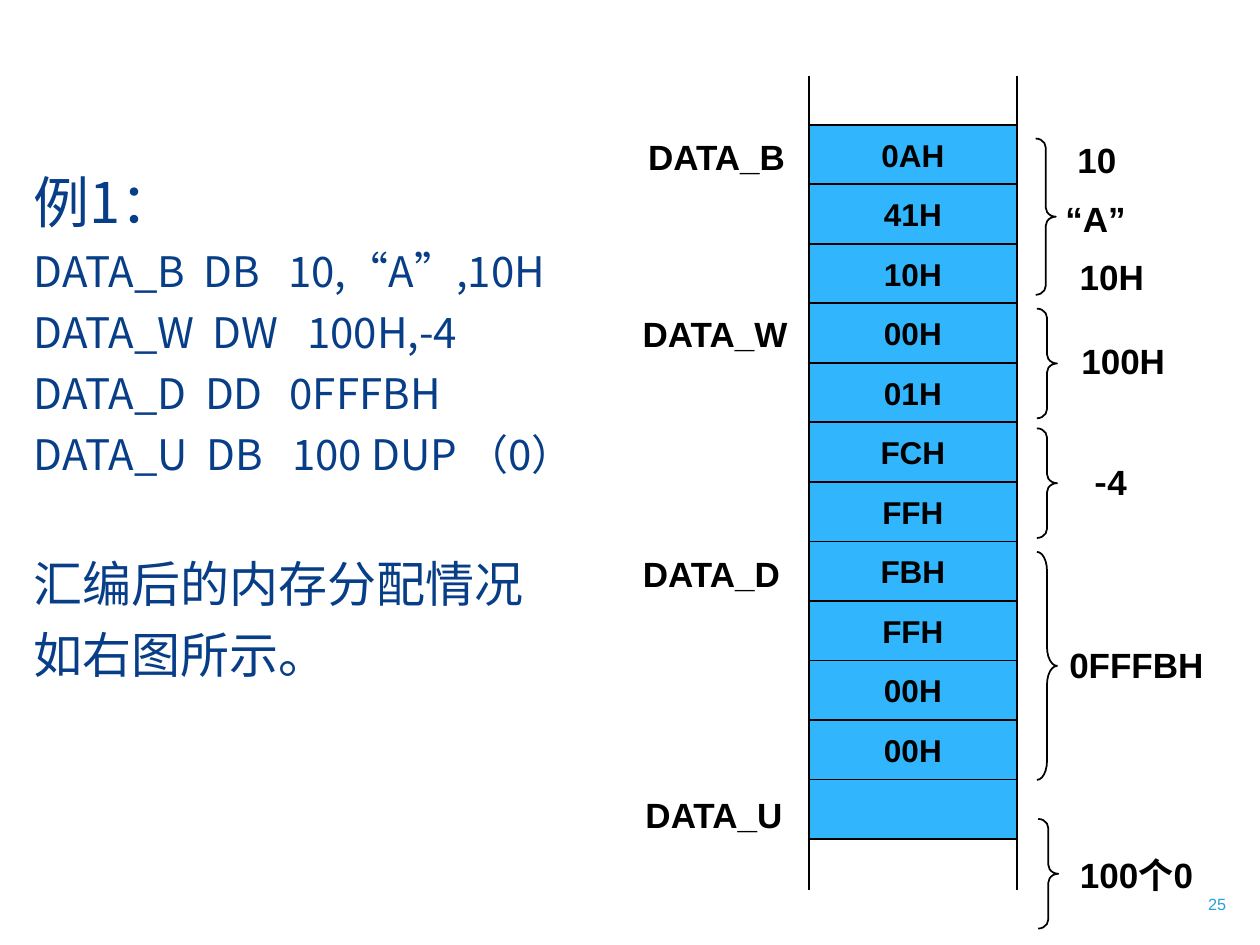
import pptx
import pptx.dml.color
import pptx.enum.shapes
import pptx.enum.text
import pptx.oxml.ns
import pptx.util
from lxml import etree
from pptx.util import Inches

COLORS = {"navy": "073E87", "cell": "31B6FD", "ink": "000000", "number": "2AA0DF"}
LATIN, CJK = "Arial", "Noto Sans CJK SC"
ALIGN = pptx.enum.text.PP_ALIGN
SHAPES = pptx.enum.shapes.MSO_SHAPE

STATEMENTS = [
    ("DATA_B\tDB\t10,“A”,10H", (1.35, 2.02)),
    ("DATA_W\tDW\t100H,-4", (1.42, 2.17)),
    ("DATA_D\tDD\t0FFFBH", (1.36, 2.03)),
    ("DATA_U\tDB\t100 DUP （0）", (1.37, 2.05)),
]
CELLS = ["0AH", "41H", "10H", "00H", "01H", "FCH", "FFH", "FBH", "FFH", "00H", "00H", ""]
VARIABLES = [
    ("DATA_B", 5.05, 1.07, 1.18),
    ("DATA_W", 4.92, 2.47, 1.33),
    ("DATA_D", 5.01, 4.38, 1.18),
    ("DATA_U", 5.03, 6.29, 1.18),
]
VALUES = [
    ([("10", LATIN)], 8.39, 1.09, 0.63),
    ([("“A”", LATIN)], 8.38, 1.56, 0.63),
    ([("10H", LATIN)], 8.51, 2.02, 0.63),
    ([("100H", LATIN)], 8.48, 2.69, 0.87),
    ([("-", CJK), ("4", LATIN)], 8.46, 3.65, 0.71),
    ([("0FFFBH", LATIN)], 8.47, 5.1, 1.1),
    ([("100个0", LATIN)], 8.47, 6.77, 1.1),
]
BRACES = [
    (8.22, 1.1, 1.24, 0.45),
    (8.23, 2.45, 0.87, 0.45),
    (8.23, 3.4, 0.87, 0.45),
    (8.23, 4.38, 1.81, 0.94),
    (8.24, 6.5, 0.87, 0.45),
]


def rgb(name):
    """Return the named colour."""
    return pptx.dml.color.RGBColor.from_string(COLORS[name])


def add_span(para, text, font, size, color, bold=False):
    """Append one styled run to a paragraph."""
    span = para.add_run()
    span.text = text
    span.font.name = font
    span.font.size = pptx.util.Pt(size)
    span.font.bold = bold
    span.font.color.rgb = rgb(color)
    east = etree.SubElement(span.font._element, pptx.oxml.ns.qn("a:ea"))
    east.set("typeface", CJK)


def add_text_box(slide, box, inset_x=0.1, inset_y=0.05):
    """Add a wrapping text box and return its text frame."""
    frame = slide.shapes.add_textbox(*box).text_frame
    frame.word_wrap = True
    frame.margin_left = frame.margin_right = Inches(inset_x)
    frame.margin_top = frame.margin_bottom = Inches(inset_y)
    return frame


def set_tabs(para, stops):
    """Give a paragraph left tab stops in inches."""
    tabs = etree.SubElement(para._p.get_or_add_pPr(), pptx.oxml.ns.qn("a:tabLst"))
    for stop in stops:
        tab = etree.SubElement(tabs, pptx.oxml.ns.qn("a:tab"))
        tab.set("pos", str(int(Inches(stop))))
        tab.set("algn", "l")


def add_example(slide, box):
    """Write the heading, the data statements and the closing remark."""
    frame = add_text_box(slide, box)
    lines = [("例1：", 32, 42, 0, ())]
    lines += [(text, 24, 34.9, 0, stops) for text, stops in STATEMENTS]
    lines += [("汇编后的内存分配情况", 28, 40.6, 35.5, ()), ("如右图所示。", 28, 40.6, 0, ())]
    for index, (text, size, height, gap, stops) in enumerate(lines):
        para = frame.add_paragraph() if index else frame.paragraphs[0]
        para.line_spacing = pptx.util.Pt(height)
        para.space_before = pptx.util.Pt(gap)
        if stops:
            set_tabs(para, stops)
        for position, part in enumerate(text.split("\t")):
            add_span(para, "\t" + part if position else part, CJK, size, "navy")


def add_rail(slide, x, top, bottom):
    """Draw one vertical edge of the memory column."""
    rail = slide.shapes.add_connector(
        pptx.enum.shapes.MSO_CONNECTOR.STRAIGHT, x, top, x, bottom)
    rail.line.color.rgb = rgb("ink")
    rail.line.width = pptx.util.Pt(1)
    etree.SubElement(rail._element.spPr, pptx.oxml.ns.qn("a:effectLst"))


def add_memory(slide, box):
    """Stack equal memory cells in the box between two longer rails."""
    left, top, width, height = box
    step = height / len(CELLS)
    for index, text in enumerate(CELLS):
        cell = slide.shapes.add_shape(
            SHAPES.RECTANGLE, left, int(top + index * step), width, int(step))
        cell.shadow.inherit = False
        cell.fill.solid()
        cell.fill.fore_color.rgb = rgb("cell")
        cell.line.color.rgb = rgb("ink")
        cell.line.width = pptx.util.Pt(1)
        if text:
            frame = cell.text_frame
            frame.word_wrap = False
            frame.vertical_anchor = pptx.enum.text.MSO_ANCHOR.MIDDLE
            para = frame.paragraphs[0]
            para.alignment = ALIGN.CENTER
            add_span(para, text, LATIN, 18, "ink", True)
    for x in (left, left + width):
        add_rail(slide, x, top - Inches(0.39), top + height + Inches(0.4))


def add_label(slide, box, spans, alignment):
    """Write one bold label in the box."""
    para = add_text_box(slide, box, 0, 0).paragraphs[0]
    para.alignment = alignment
    para.line_spacing = pptx.util.Pt(24.5)
    for text, font in spans:
        add_span(para, text, font, 20, "ink", True)


def add_brace(slide, box, curve):
    """Draw a right brace that fills the box."""
    brace = slide.shapes.add_shape(SHAPES.RIGHT_BRACE, *box)
    brace.shadow.inherit = False
    brace.adjustments[0] = curve
    brace.fill.background()
    brace.line.color.rgb = rgb("ink")
    brace.line.width = pptx.util.Pt(1)


def add_page_number(slide, box):
    """Write the page number at the right of the box."""
    para = add_text_box(slide, box).paragraphs[0]
    para.alignment = ALIGN.RIGHT
    para.line_spacing = 0.8
    add_span(para, "25", LATIN, 9.3, "number")


def main():
    """Build the memory allocation slide."""
    deck = pptx.Presentation()
    deck.slide_width, deck.slide_height = Inches(10), Inches(7.5)
    slide = deck.slides.add_slide(deck.slide_layouts[6])
    add_page_number(slide, (Inches(9), Inches(7.08), Inches(0.83), Inches(0.27)))
    add_example(slide, (Inches(0.17), Inches(1.23), Inches(5.04), Inches(5.2)))
    add_memory(slide, (Inches(6.42), Inches(0.99), Inches(1.65), Inches(5.67)))
    for text, left, top, width in VARIABLES:
        box = (Inches(left), Inches(top), Inches(width), Inches(0.33))
        add_label(slide, box, [(text, LATIN)], ALIGN.RIGHT)
    for left, top, height, curve in BRACES:
        add_brace(slide, (Inches(left), Inches(top), Inches(0.16), Inches(height)), curve)
    for spans, left, top, width in VALUES:
        box = (Inches(left), Inches(top), Inches(width), Inches(0.33))
        add_label(slide, box, spans, ALIGN.CENTER)
    deck.save("out.pptx")


if __name__ == "__main__":
    main()
